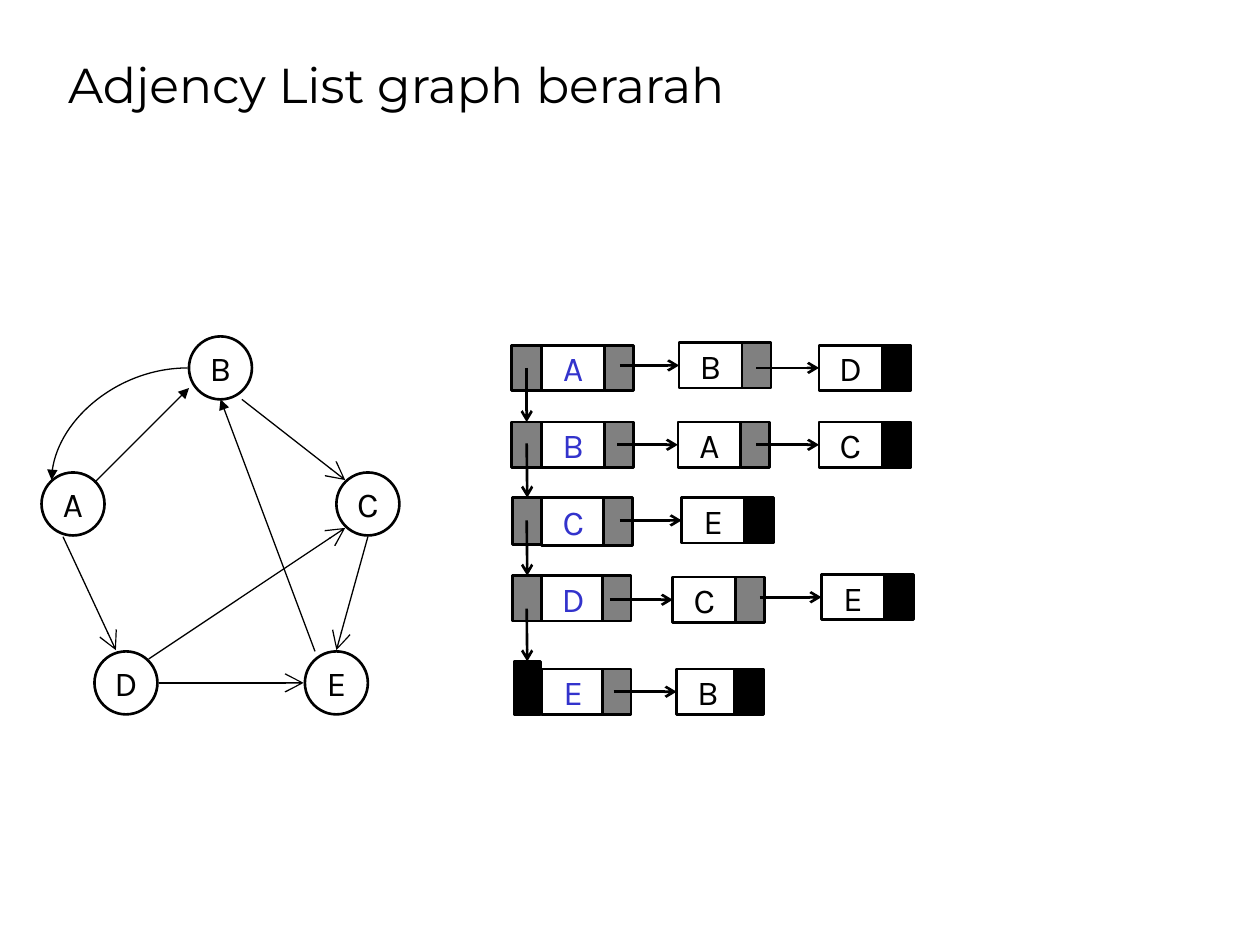
from lxml import etree
from pptx import Presentation
from pptx.dml.color import RGBColor
from pptx.enum.shapes import MSO_CONNECTOR, MSO_SHAPE
from pptx.enum.text import MSO_ANCHOR, PP_ALIGN
from pptx.oxml.ns import qn
from pptx.util import Inches, Pt

RECTANGLE, OVAL = MSO_SHAPE.RECTANGLE, MSO_SHAPE.OVAL
STRAIGHT, CURVE = MSO_CONNECTOR.STRAIGHT, MSO_CONNECTOR.CURVE
TOP_SIDE, LEFT_SIDE = 0, 1
BLACK, GRAY, BLUE = "000000", "808080", "3333CC"
CELL_WIDTH, CELL_HEIGHT, LINK_WIDTH = 0.5, 0.36, 0.23
NODE_SIZE = 0.5
DOWN_X = 4.18

deck = Presentation()
deck.slide_width, deck.slide_height = Inches(10), Inches(7.5)
page = deck.slides.add_slide(deck.slide_layouts[5])

title = page.shapes.title
title.left, title.top = Inches(0.44), Inches(0.25)
title.width, title.height = Inches(8.5), Inches(0.7)
title.text_frame.text = "Adjency List graph berarah"
title.text_frame.vertical_anchor = MSO_ANCHOR.BOTTOM
para = title.text_frame.paragraphs[0]
para.alignment = PP_ALIGN.LEFT
para.font.name, para.font.size = "Montserrat", Pt(28)
para.font.color.rgb = RGBColor.from_string(BLACK)


def add_box(kind, left, top, width, height, fill=None, label="", color=BLACK):
    """Add an outlined shape, hollow unless a fill is given."""
    box = page.shapes.add_shape(
        kind, Inches(left), Inches(top), Inches(width), Inches(height))
    box.shadow.inherit = False
    if fill:
        box.fill.solid()
        box.fill.fore_color.rgb = RGBColor.from_string(fill)
    else:
        box.fill.background()
    box.line.color.rgb = RGBColor.from_string(BLACK)
    box.line.width = Pt(1.5)
    if label:
        frame = box.text_frame
        frame.word_wrap = False
        frame.vertical_anchor = MSO_ANCHOR.MIDDLE
        para = frame.paragraphs[0]
        para.text = label
        para.alignment = PP_ALIGN.CENTER
        para.font.name, para.font.size = "Karla", Pt(20)
        para.font.color.rgb = RGBColor.from_string(color)
    return box


def add_arrow(start, end, weight, head="arrow", head_size="med", kind=STRAIGHT):
    arrow = page.shapes.add_connector(
        kind, *[Inches(value) for value in (*start, *end)])
    arrow.line.color.rgb = RGBColor.from_string(BLACK)
    arrow.line.width = Pt(weight)
    etree.SubElement(arrow.line._get_or_add_ln(), qn("a:tailEnd"),
                     type=head, w=head_size, len=head_size)
    etree.SubElement(arrow._element.spPr, qn("a:effectLst"))
    return arrow


# Vertex list: label, top, height, link left, down pointer (left, top, width, height, fill)
vertices = [
    ("A", 2.74, 0.36, 4.80, (4.06, 2.74, 0.24, 0.36, GRAY)),
    ("B", 3.35, 0.36, 4.80, (4.06, 3.35, 0.24, 0.36, GRAY)),
    ("C", 3.95, 0.38, 4.79, (4.07, 3.95, 0.23, 0.37, GRAY)),
    ("D", 4.57, 0.36, 4.78, (4.07, 4.57, 0.23, 0.36, GRAY)),
    ("E", 5.31, 0.36, 4.78, (4.08, 5.25, 0.21, 0.42, BLACK)),
]
down_boxes = []
for label, top, height, link_left, (*down_place, down_fill) in vertices:
    add_box(RECTANGLE, 4.3, top, CELL_WIDTH, height, label=label, color=BLUE)
    add_box(RECTANGLE, link_left, top, LINK_WIDTH, height, GRAY)
    down_boxes.append(add_box(RECTANGLE, *down_place, down_fill))

for start_y, target in zip((2.92, 3.52, 4.13, 4.83), down_boxes[1:]):
    arrow = add_arrow((DOWN_X, start_y), (DOWN_X, start_y + 0.42), 1.5)
    arrow.end_connect(target, TOP_SIDE)

# Neighbours: label, left, top, link left, link fill, x where the incoming arrow starts
neighbours = [
    ("B", 5.39, 2.72, 5.89, GRAY, 4.92),
    ("D", 6.50, 2.74, 7.00, BLACK, 6.00),
    ("A", 5.38, 3.35, 5.88, GRAY, 4.90),
    ("C", 6.50, 3.35, 7.00, BLACK, 6.00),
    ("E", 5.41, 3.95, 5.91, BLACK, 4.92),
    ("C", 5.34, 4.58, 5.84, GRAY, 4.84),
    ("E", 6.52, 4.56, 7.02, BLACK, 6.03),
    ("B", 5.37, 5.31, 5.83, BLACK, 4.87),
]
for label, left, top, link_left, link_fill, start_x in neighbours:
    cell = add_box(RECTANGLE, left, top, CELL_WIDTH, CELL_HEIGHT, label=label)
    add_box(RECTANGLE, link_left, top, LINK_WIDTH, CELL_HEIGHT, link_fill)
    middle = top + CELL_HEIGHT / 2
    arrow = add_arrow((start_x, middle), (left, middle), 1.5)
    arrow.end_connect(cell, LEFT_SIDE)

# Directed graph
nodes = [("B", 1.5, 2.67), ("A", 0.33, 3.75), ("C", 2.67, 3.75),
         ("D", 0.75, 5.17), ("E", 2.42, 5.17)]
for label, left, top in nodes:
    add_box(OVAL, left, top, NODE_SIZE, NODE_SIZE, label=label)

open_edges = [
    ((0.5, 4.26), (0.92, 5.16)),
    ((1.18, 5.23), (2.74, 4.19)),
    ((1.26, 5.42), (2.41, 5.42)),
    ((2.92, 4.26), (2.67, 5.16)),
    ((1.92, 3.17), (2.74, 3.81)),
]
for start, end in open_edges:
    add_arrow(start, end, 0.75, head_size="lg")

add_arrow((0.75, 3.83), (1.5, 3.08), 0.75, "triangle")
add_arrow((2.5, 5.17), (1.75, 3.17), 0.75, "triangle")
arc = add_arrow((1.49, 2.92), (0.41, 3.81), 0.75, "triangle", kind=CURVE)
arc._element.spPr.find(qn("a:prstGeom")).set("prst", "curvedConnector2")

deck.save("out.pptx")
